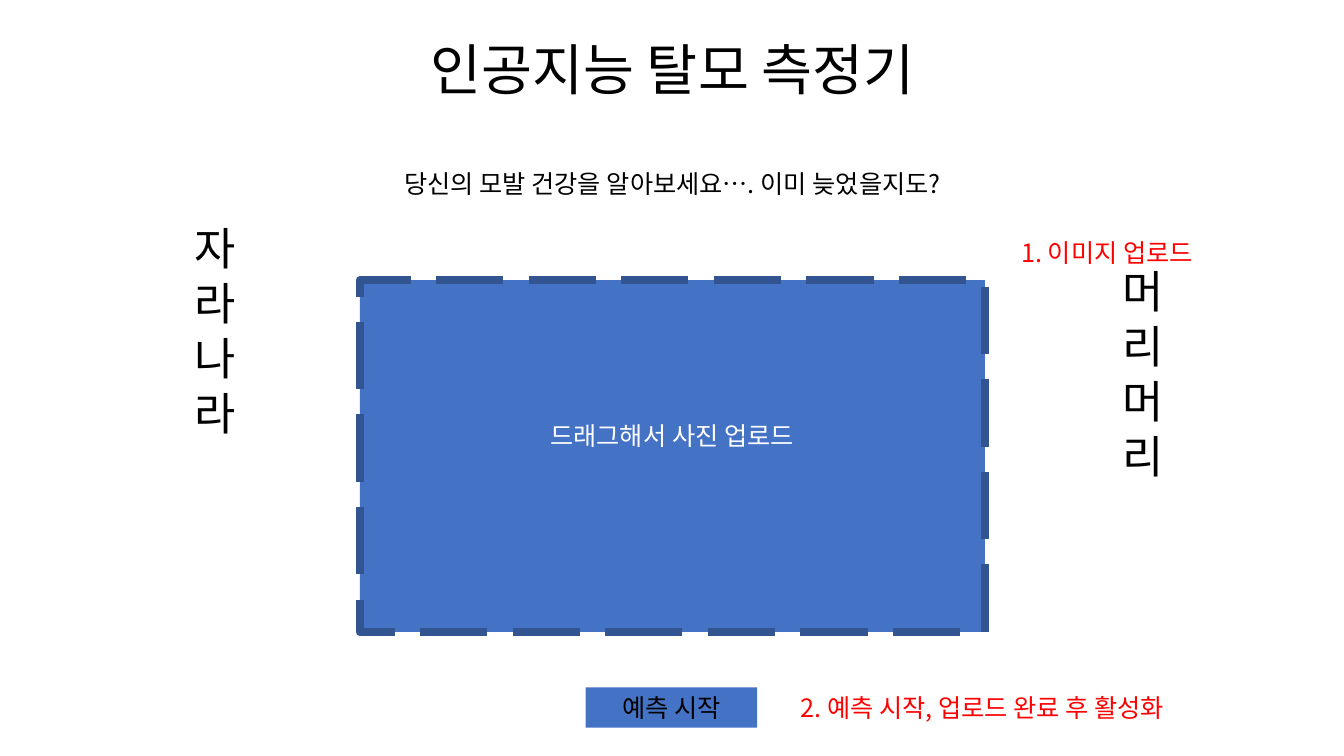
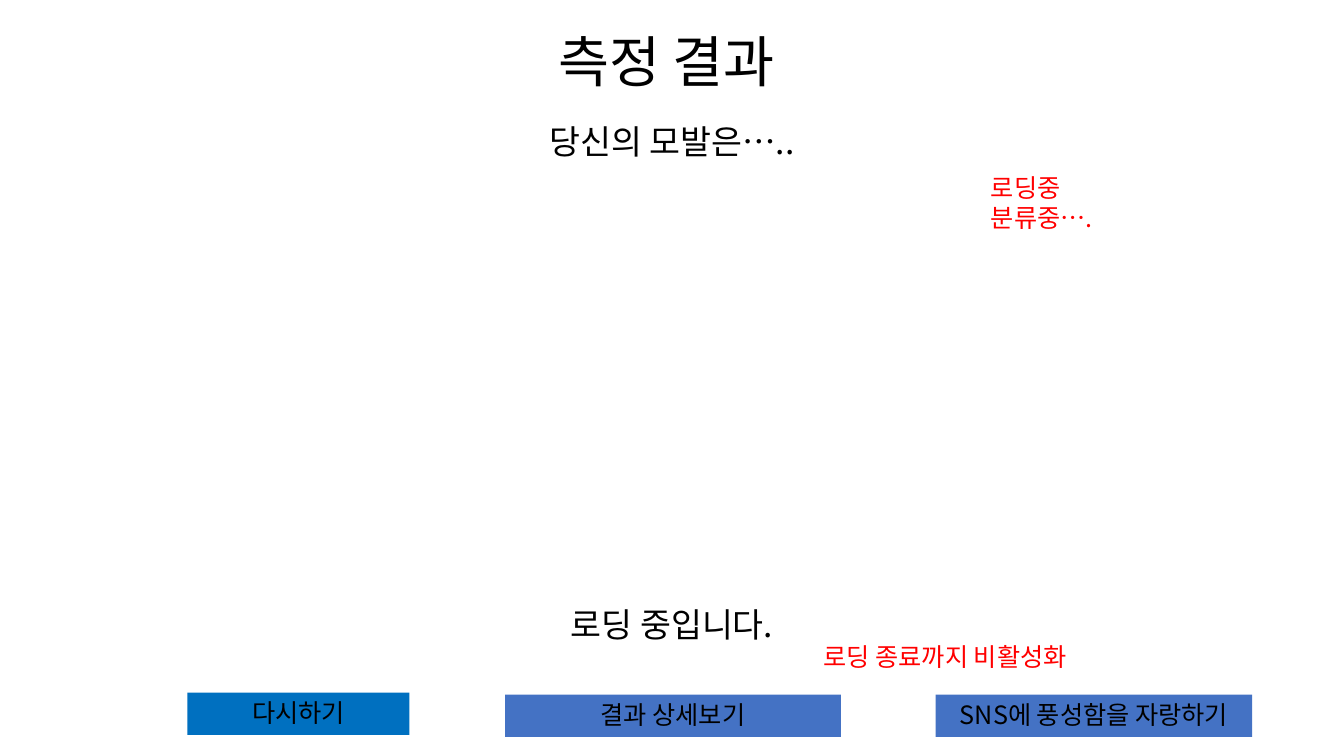
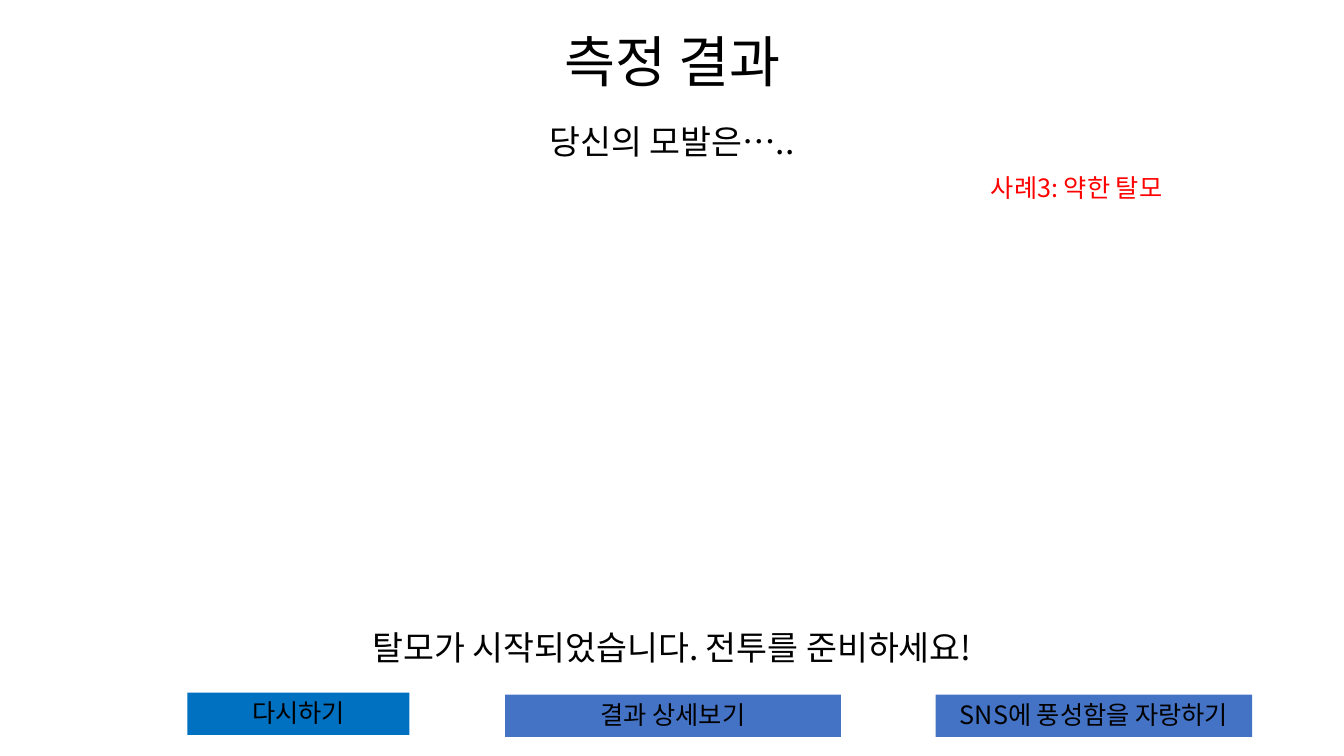
from pptx import Presentation
from pptx.dml.color import RGBColor
from pptx.enum.dml import MSO_LINE
from pptx.enum.shapes import MSO_SHAPE
from pptx.enum.text import MSO_ANCHOR, MSO_AUTO_SIZE, PP_ALIGN
from pptx.oxml.ns import qn
from pptx.util import Inches, Pt
from lxml import etree

FONT = "Noto Sans CJK KR"
BLACK, WHITE, RED = "000000", "FFFFFF", "FF0000"
BLUE, DARK_BLUE, RESET_BLUE = "4472C4", "325491", "0070C0"
RECTANGLE = MSO_SHAPE.RECTANGLE
LONG_DASH = MSO_LINE.LONG_DASH
CENTER, LEFT = PP_ALIGN.CENTER, PP_ALIGN.LEFT
TOP, MIDDLE = MSO_ANCHOR.TOP, MSO_ANCHOR.MIDDLE
GROW, FIXED = MSO_AUTO_SIZE.SHAPE_TO_FIT_TEXT, MSO_AUTO_SIZE.NONE


def color(hex_code):
    return RGBColor.from_string(hex_code)


def add_text(slide, text, box, size=18, ink=BLACK, align=CENTER, anchor=TOP,
             fit=GROW, spacing=None, fill=None, vertical=False):
    place = [Inches(value) for value in box]
    if fill:
        holder = slide.shapes.add_shape(RECTANGLE, *place)
        holder.shadow.inherit = False
        holder.fill.solid()
        holder.fill.fore_color.rgb = color(fill)
        holder.line.fill.background()
    else:
        holder = slide.shapes.add_textbox(*place)
    frame = holder.text_frame
    frame.word_wrap = True
    frame.auto_size = fit
    frame.vertical_anchor = anchor
    if vertical:
        next(holder.element.iter(qn("a:bodyPr"))).set("vert", "eaVert")
    frame.text = text
    for paragraph in frame.paragraphs:
        paragraph.alignment = align
        paragraph.line_spacing = spacing
        for run in paragraph.runs:
            run.font.size = Pt(size)
            run.font.name = FONT
            run.font.color.rgb = color(ink)
    for latin in list(holder.element.iter(qn("a:latin"))):
        east_asian = etree.Element(qn("a:ea"), typeface=FONT)
        latin.addnext(east_asian)


deck = Presentation()
deck.slide_width = Inches(13.33)
deck.slide_height = Inches(7.5)
blank = deck.slide_layouts[6]

title_style = dict(size=39.6, anchor=MIDDLE, fit=FIXED, spacing=0.9)
note_style = dict(ink=RED, align=LEFT)

upload = deck.slides.add_slide(blank)
drop_zone = upload.shapes.add_shape(
    RECTANGLE, Inches(3.57), Inches(2.78), Inches(6.2), Inches(3.49))
drop_zone.shadow.inherit = False
drop_zone.fill.solid()
drop_zone.fill.fore_color.rgb = color(BLUE)
drop_zone.line.color.rgb = color(DARK_BLUE)
drop_zone.line.width = Pt(6)
drop_zone.line.dash_style = LONG_DASH

add_text(upload, "인공지능 탈모 측정기", (0.92, 0.4, 11.5, 0.64), **title_style)
add_text(upload, "드래그해서 사진 업로드", (4.96, 4.12, 3.41, 0.4), ink=WHITE)
add_text(upload, "당신의 모발 건강을 알아보세요…. 이미 늦었을지도?", (2.62, 1.62, 8.1, 0.4))
add_text(upload, "자 라 나 라", (1.69, 2.14, 0.74, 4.77), size=32, vertical=True)
add_text(upload, "머 리 머 리", (10.9, 2.57, 0.74, 3.49), size=32, vertical=True)
add_text(upload, "예측 시작", (5.81, 6.82, 1.7, 0.4), fill=BLUE)
add_text(upload, "1. 이미지 업로드", (10.03, 2.31, 2.19, 0.4), **note_style)
add_text(upload, "2. 예측 시작, 업로드 완료 후 활성화", (7.84, 6.82, 4.58, 0.4), **note_style)

buttons = [
    ("결과 상세보기", (5.01, 6.89, 3.33, 0.42), BLUE),
    ("다시하기", (1.86, 6.87, 2.2, 0.42), RESET_BLUE),
    ("SNS에 풍성함을 자랑하기", (9.28, 6.89, 3.14, 0.42), BLUE),
]
results = [
    ("측정 결과 ", "로딩 중입니다.", 5.94, [
        ("로딩중\n분류중….", (9.73, 1.66, 2.6, 0.71)),
        ("로딩 종료까지 비활성화", (8.07, 6.31, 3.33, 0.4)),
    ]),
    ("측정 결과", "탈모가 시작되었습니다. 전투를 준비하세요!", 6.17, [
        ("사례3: 약한 탈모", (9.73, 1.66, 2.6, 0.4)),
    ]),
]
for title, message, message_top, notes in results:
    result = deck.slides.add_slide(blank)
    add_text(result, title, (0.92, 0.4, 11.5, 0.48), **title_style)
    add_text(result, "당신의 모발은…..", (3.6, 1.15, 6.13, 0.5), size=24)
    add_text(result, message, (2.75, message_top, 7.83, 0.5), size=24)
    for label, box, fill in buttons:
        add_text(result, label, box, fill=fill)
    for note, box in notes:
        add_text(result, note, box, **note_style)

deck.save("out.pptx")
